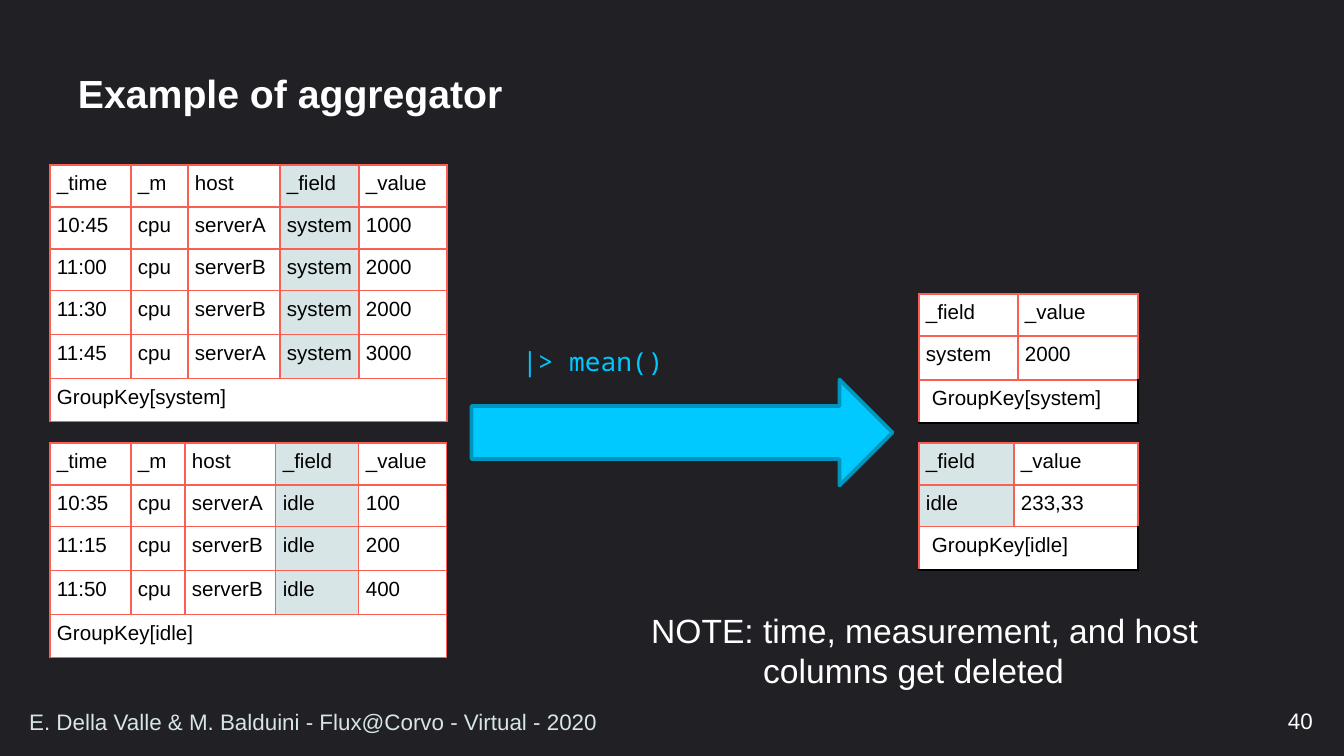
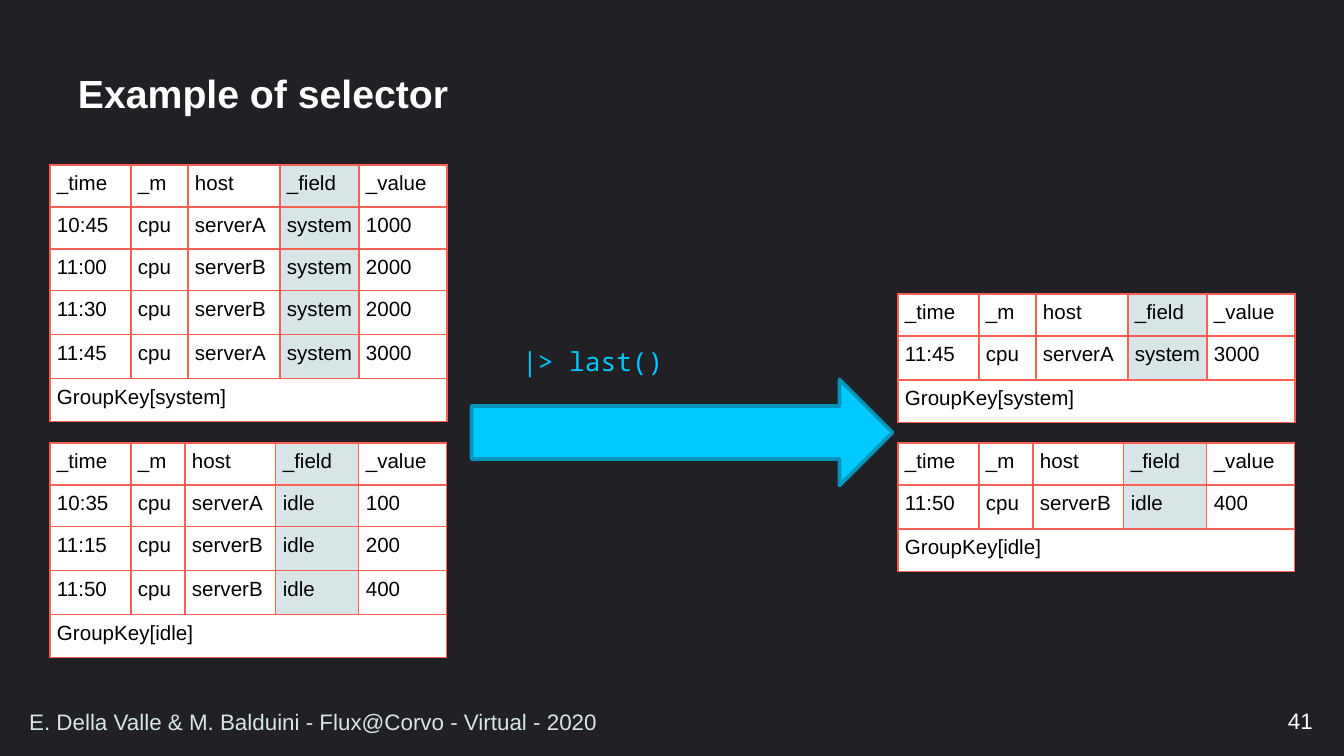
import dataclasses

import pptx
import pptx.dml.color
import pptx.enum.shapes
import pptx.enum.text
import pptx.oxml
import pptx.oxml.ns
import pptx.util

SCALE = 914400 / 134.4
ALIGN = pptx.enum.text.PP_ALIGN
ANCHOR = pptx.enum.text.MSO_ANCHOR


@dataclasses.dataclass(frozen=True)
class Theme:
    dark: str = "202025"
    white: str = "FFFFFF"
    black: str = "000000"
    cyan: str = "00C9FF"
    edge: str = "0095BD"
    tint: str = "D7E5E6"
    red: str = "F95F53"
    sans: str = "Arial"
    mono: str = "Noto Sans Mono"
    title: int = 21
    note: int = 18
    code: int = 14
    foot: int = 12
    cell: int = 11


THEME = Theme()
HEAD = ("_time", "_m", "host", "_field", "_value")
SYSTEM = (
    ("10:45", "cpu", "serverA", "system", "1000"),
    ("11:00", "cpu", "serverB", "system", "2000"),
    ("11:30", "cpu", "serverB", "system", "2000"),
    ("11:45", "cpu", "serverA", "system", "3000"),
)
IDLE = (
    ("10:35", "cpu", "serverA", "idle", "100"),
    ("11:15", "cpu", "serverB", "idle", "200"),
    ("11:50", "cpu", "serverB", "idle", "400"),
)
SYSTEM_COLS = (81, 57, 92, 79, 88)
IDLE_COLS = (81, 54, 91, 83, 88)
LEFT = 50
LOW_TOP = 443
OUT_TOP = 294


def px(num):
    return pptx.util.Emu(round(num * SCALE))


def rgb(code):
    return pptx.dml.color.RGBColor.from_string(code)


def add_run(para, text, size, color, font=THEME.sans, bold=False):
    run = para.add_run()
    run.text = text
    run.font.size = pptx.util.Pt(size)
    run.font.name = font
    run.font.bold = bold
    run.font.color.rgb = rgb(color)


def add_box(slide, place, anchor=ANCHOR.TOP, wrap=True, grow=False):
    frame = slide.shapes.add_textbox(*map(px, place)).text_frame
    frame.word_wrap = wrap
    frame.vertical_anchor = anchor
    if grow:
        frame.auto_size = pptx.enum.text.MSO_AUTO_SIZE.SHAPE_TO_FIT_TEXT
    return frame


def add_title(slide, text):
    frame = add_box(slide, (69, 53, 1207, 86), ANCHOR.MIDDLE)
    frame.margin_left = frame.margin_right = px(9)
    frame.margin_top = frame.margin_bottom = px(5)
    para = frame.paragraphs[0]
    para.line_spacing = 0.9
    add_run(para, text, THEME.title, THEME.white, bold=True)


def add_foot(slide, page):
    para = add_box(slide, (1024, 701, 302, 40), ANCHOR.MIDDLE).paragraphs[0]
    para.alignment = ALIGN.RIGHT
    add_run(para, str(page), THEME.foot, THEME.white)
    para = add_box(slide, (16, 702, 1001, 39), ANCHOR.MIDDLE).paragraphs[0]
    text = "E. Della Valle & M. Balduini - Flux@Corvo - Virtual - 2020"
    add_run(para, text, THEME.foot, THEME.tint)


def add_arrow(slide, code):
    kind = pptx.enum.shapes.MSO_SHAPE.UP_ARROW
    arrow = slide.shapes.add_shape(kind, *map(px, (629, 222, 106, 421)))
    arrow.rotation = 90
    arrow.shadow.inherit = False
    arrow.fill.solid()
    arrow.fill.fore_color.rgb = rgb(THEME.cyan)
    arrow.line.color.rgb = rgb(THEME.edge)
    arrow.line.width = pptx.util.Pt(2)
    para = add_box(slide, (509, 320, 347, 59), grow=True).paragraphs[0]
    para.line_spacing = 1.6
    add_run(para, code, THEME.code, THEME.cyan, THEME.mono)


def add_note(slide, lines):
    frame = add_box(slide, (638, 603, 589, 95), wrap=False, grow=True)
    para = frame.paragraphs[0]
    props = para._p.get_or_add_pPr()
    props.set("marL", str(px(112)))
    props.set("indent", str(px(-112)))
    for num, line in enumerate(lines):
        if num:
            para.add_line_break()
        add_run(para, line, THEME.note, THEME.white)


def add_edge(cell, side, color, width):
    space = pptx.oxml.ns.nsdecls("a")
    line = pptx.oxml.parse_xml(
        f'<a:ln{side} {space} w="{pptx.util.Pt(width)}"><a:solidFill>'
        f'<a:srgbClr val="{color}"/></a:solidFill></a:ln{side}>'
    )
    cell._tc.get_or_add_tcPr().append(line)


def style_cell(cell, fill, side=7, dark=False):
    for edge in "LRTB":
        if dark and edge in "RB":
            add_edge(cell, edge, THEME.black, 1)
        else:
            add_edge(cell, edge, THEME.red, 0.75)
    cell.fill.solid()
    cell.fill.fore_color.rgb = rgb(fill)
    cell.margin_left = px(side)
    cell.margin_right = px(side - 4)
    cell.margin_top = cell.margin_bottom = px(7)


def fill_cell(cell, text):
    add_run(cell.text_frame.paragraphs[0], text, THEME.cell, THEME.black)


def add_grid(slide, left, top, cols, rows, key, tint=3, low=1, dark=False):
    last = len(rows)
    highs = [42] * low + [44] * (last - low) + [43]
    place = map(px, (left, top, sum(cols), sum(highs)))
    grid = slide.shapes.add_table(last + 1, len(cols), *place).table
    grid.first_row = False
    grid.horz_banding = False
    for col, wide in zip(grid.columns, cols):
        col.width = px(wide)
    for row, high in zip(grid.rows, highs):
        row.height = px(high)
    for y, row in enumerate(rows):
        for x, text in enumerate(row):
            cell = grid.cell(y, x)
            style_cell(cell, THEME.tint if x == tint else THEME.white)
            fill_cell(cell, text)
    for x in range(len(cols)):
        style_cell(grid.cell(last, x), THEME.white, 13 if dark else 7, dark)
    base = grid.cell(last, 0)
    base.merge(grid.cell(last, len(cols) - 1))
    fill_cell(base, f"GroupKey[{key}]")


def add_slide(deck, page, title, code):
    slide = deck.slides.add_slide(deck.slide_layouts[6])
    add_arrow(slide, code)
    add_title(slide, title)
    add_grid(slide, LEFT, 165, SYSTEM_COLS, (HEAD, *SYSTEM), "system", low=3)
    add_grid(slide, LEFT, LOW_TOP, IDLE_COLS, (HEAD, *IDLE), "idle", low=2)
    add_foot(slide, page)
    return slide


def main():
    deck = pptx.Presentation()
    deck.slide_width = px(1344)
    deck.slide_height = px(756)
    back = deck.slide_master.background.fill
    back.solid()
    back.fore_color.rgb = rgb(THEME.dark)

    slide = add_slide(deck, 40, "Example of aggregator", "|> mean()")
    short = HEAD[3:]
    add_grid(slide, 919, OUT_TOP, (99, 120), (short, ("system", "2000")),
             "system", tint=None, dark=True)
    add_grid(slide, 919, LOW_TOP, (95, 124), (short, ("idle", "233,33")),
             "idle", tint=0, low=2, dark=True)
    add_note(slide, ("NOTE: time, measurement, and host", "columns get deleted"))

    slide = add_slide(deck, 41, "Example of selector", "|> last()")
    add_grid(slide, 898, OUT_TOP, SYSTEM_COLS, (HEAD, SYSTEM[-1]), "system")
    add_grid(slide, 898, LOW_TOP, IDLE_COLS, (HEAD, IDLE[-1]), "idle")

    deck.save("out.pptx")


if __name__ == "__main__":
    main()
